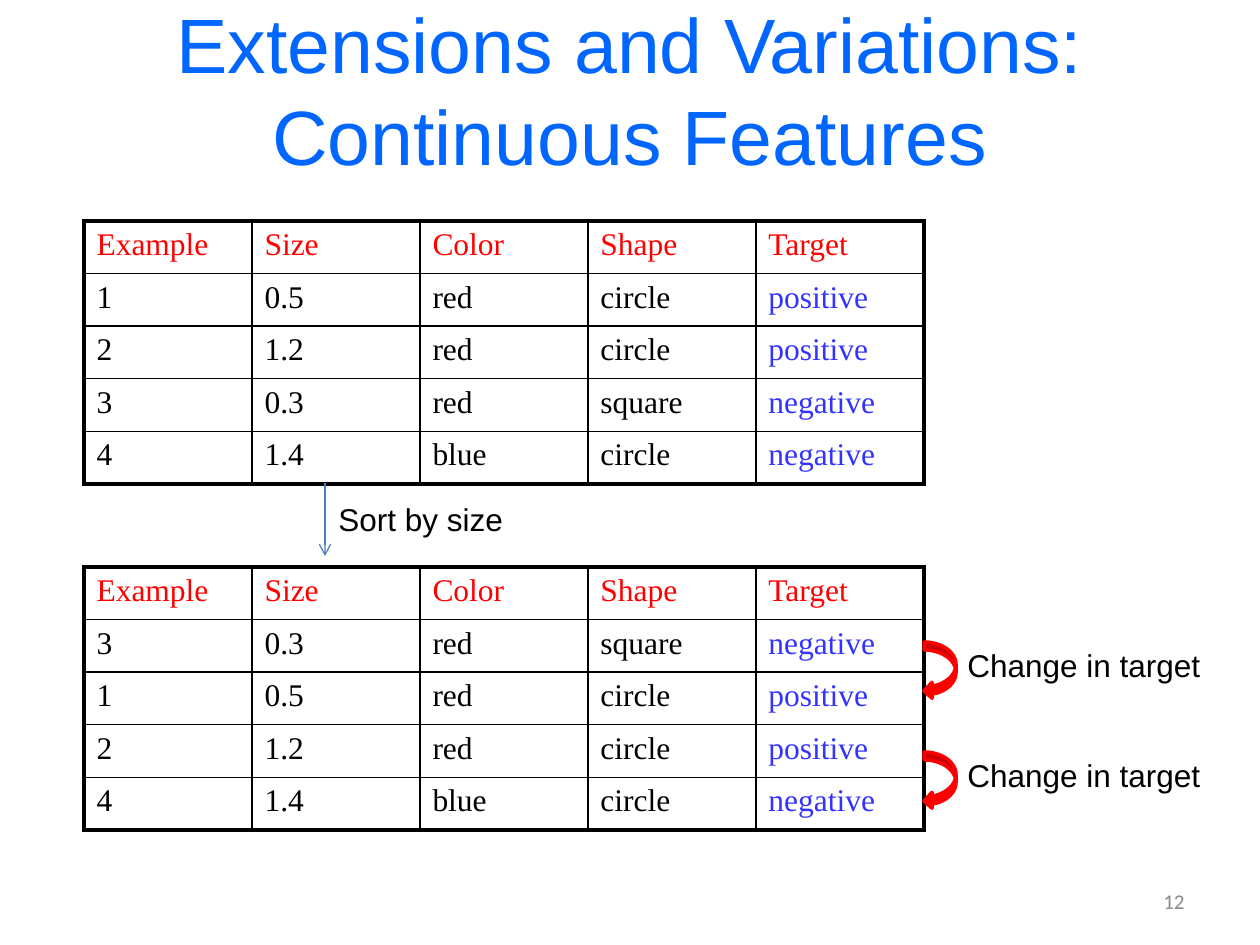
from lxml.etree import SubElement
from pptx import Presentation
from pptx.dml.color import RGBColor
from pptx.enum.shapes import MSO_CONNECTOR, MSO_SHAPE
from pptx.enum.text import MSO_ANCHOR, MSO_AUTO_SIZE, PP_ALIGN
from pptx.oxml.ns import qn
from pptx.util import Emu, Pt

EMU_PER_PX = 914400 / 126
RED, BLACK = "FF0000", "000000"


def px(*lengths):
    """Turn pixel lengths into a list of EMU lengths."""
    return [Emu(round(length * EMU_PER_PX)) for length in lengths]


def style(paragraph, name, size, color):
    paragraph.font.name = name
    paragraph.font.size = Pt(size)
    paragraph.font.color.rgb = RGBColor.from_string(color)


presentation = Presentation()
presentation.slide_width, presentation.slide_height = px(1260, 945)
slide = presentation.slides.add_slide(presentation.slide_layouts[5])

title = slide.shapes.title
title.left, title.top, title.width, title.height = px(63, 10, 1134, 158)
title.text_frame.text = "Extensions and Variations: Continuous Features"
title.text_frame.auto_size = MSO_AUTO_SIZE.NONE
title.text_frame.vertical_anchor = MSO_ANCHOR.MIDDLE
title.text_frame.paragraphs[0].alignment = PP_ALIGN.CENTER
style(title.text_frame.paragraphs[0], "Arial", 44, "0066FF")

# Tables: the same examples, first as given, then sorted by size
header = ["Example", "Size", "Color", "Shape", "Target"]
examples = [
    ["1", "0.5", "red", "circle", "positive"],
    ["2", "1.2", "red", "circle", "positive"],
    ["3", "0.3", "red", "square", "negative"],
    ["4", "1.4", "blue", "circle", "negative"],
]
by_size = sorted(examples, key=lambda example: float(example[1]))

for top, body in [(221, examples), (567, by_size)]:
    rows = [header] + body
    last_row, last_column = len(rows) - 1, len(header) - 1
    table = slide.shapes.add_table(
        len(rows), len(header), *px(84, top, 840, 263)).table
    table.first_row = table.horz_banding = False
    for i, row in enumerate(rows):
        for j, text in enumerate(row):
            cell = table.cell(i, j)
            cell.text = text
            color = RED if i == 0 else "3333FF" if j == last_column else BLACK
            style(cell.text_frame.paragraphs[0], "Times New Roman", 18, color)
            outer_sides = {
                "a:lnL": j == 0,
                "a:lnR": j == last_column,
                "a:lnT": i == 0,
                "a:lnB": i == last_row,
            }
            for side, is_outer in outer_sides.items():
                width = Pt(2.25 if is_outer else 1)
                border = SubElement(cell._tc.get_or_add_tcPr(), qn(side), w=str(width))
                fill = SubElement(border, qn("a:solidFill"))
                SubElement(fill, qn("a:srgbClr"), val=BLACK)
            cell.fill.background()

# Arrow from the first table to the second
sort_arrow = slide.shapes.add_connector(
    MSO_CONNECTOR.STRAIGHT, *px(325, 483, 325, 556))
sort_arrow.line.color.rgb = RGBColor.from_string("4B7EBC")
sort_arrow.line.width = Pt(0.75)
SubElement(sort_arrow.line._get_or_add_ln(), qn("a:tailEnd"), type="arrow")
SubElement(sort_arrow._element.spPr, qn("a:effectLst"))

# Curved arrows where the target changes
for top in (642, 752):
    change_arrow = slide.shapes.add_shape(
        MSO_SHAPE.CURVED_LEFT_ARROW, *px(924, top, 32, 57))
    change_arrow.shadow.inherit = False
    change_arrow.fill.solid()
    change_arrow.fill.fore_color.rgb = RGBColor.from_string(RED)
    change_arrow.line.color.rgb = RGBColor.from_string(RED)
    change_arrow.line.width = Pt(2)

labels = [
    ("Sort by size", 326, 494, 192),
    ("Change in target", 955, 640, 261),
    ("Change in target", 955, 750, 261),
]
for text, left, top, width in labels:
    label = slide.shapes.add_textbox(*px(left, top, width, 51))
    label.text_frame.word_wrap = False
    label.text_frame.auto_size = MSO_AUTO_SIZE.SHAPE_TO_FIT_TEXT
    label.text_frame.text = text
    style(label.text_frame.paragraphs[0], "Arial", 18, BLACK)

slide_number = slide.shapes.add_textbox(*px(903, 876, 294, 50))
slide_number.text_frame.word_wrap = True
slide_number.text_frame.vertical_anchor = MSO_ANCHOR.MIDDLE
slide_number.text_frame.text = "12"
slide_number.text_frame.paragraphs[0].alignment = PP_ALIGN.RIGHT
style(slide_number.text_frame.paragraphs[0], "Calibri", 12, "898989")

presentation.save("out.pptx")
